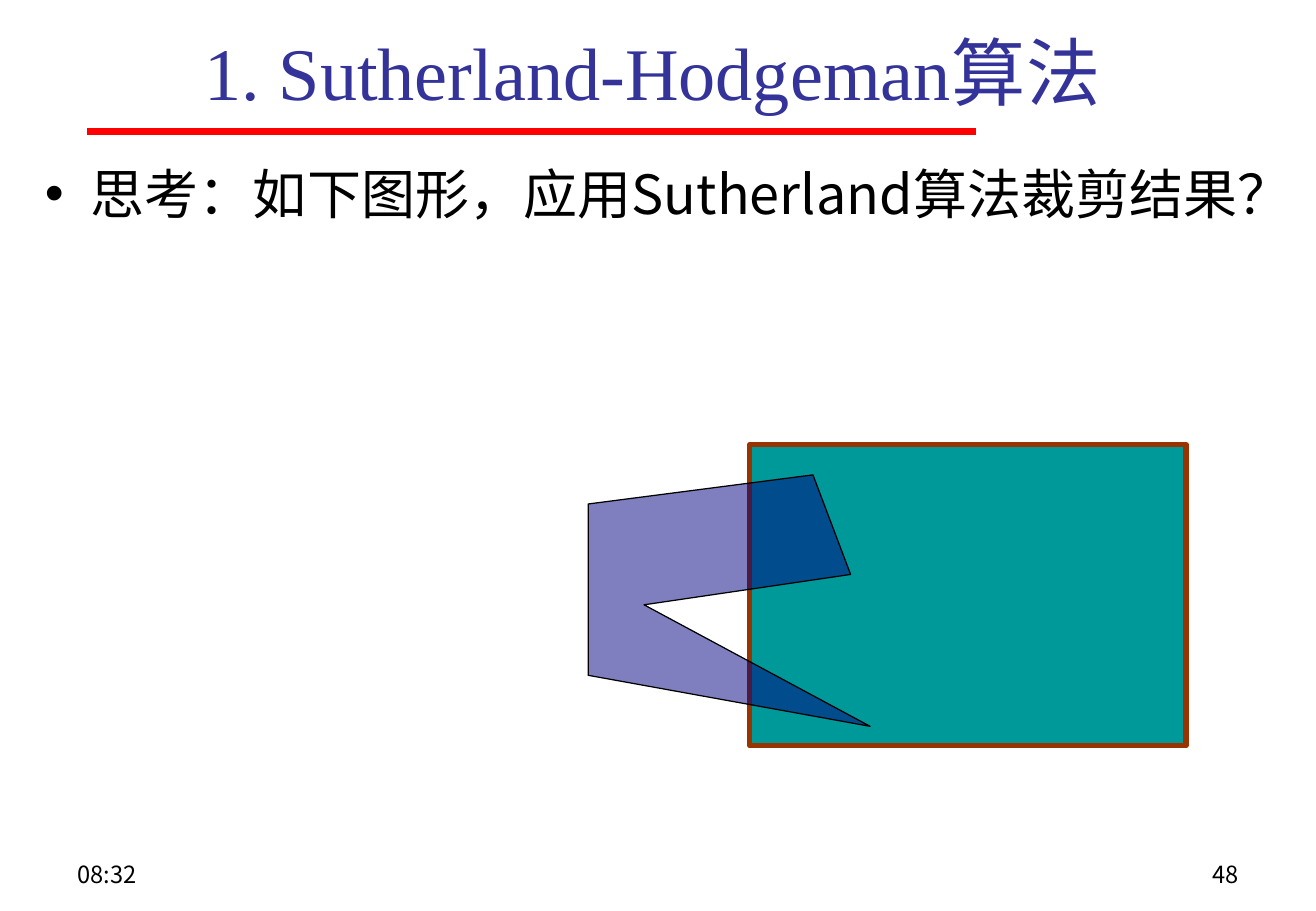
from lxml import etree
from pptx import Presentation
from pptx import util as u
from pptx.dml.color import RGBColor
from pptx.enum import shapes, text
from pptx.oxml.ns import qn

PX = 9144  # 100 px to the inch
SANS, SERIF = "Noto Sans CJK SC", "Times New Roman"
INK = {"title": "333399", "text": "000000", "rule": "FF0000",
       "window": "009999", "frame": "993300", "poly": "000080"}


def rgb(name):
    return RGBColor.from_string(INK[name])


class Deck:
    def __init__(self, wide, high):
        self.prs = Presentation()
        self.prs.slide_width, self.prs.slide_height = wide * PX, high * PX
        self.slide = self.prs.slides.add_slide(self.prs.slide_layouts[5])
        self.shapes = self.slide.shapes

    def style(self, para, size, ink, face):
        font = para.font
        font.size, font.name = u.Pt(size), face
        font.color.rgb = rgb(ink)
        latin = para._p.pPr.find(qn("a:defRPr")).find(qn("a:latin"))
        east = etree.Element(qn("a:ea"), typeface=SANS)
        latin.addnext(east)

    def title(self, words, box):
        head = self.shapes.title
        head.left, head.top, head.width, head.height = [v * PX for v in box]
        frame = head.text_frame
        frame.text = words
        frame.vertical_anchor = text.MSO_ANCHOR.MIDDLE
        para = frame.paragraphs[0]
        para.alignment = text.PP_ALIGN.CENTER
        self.style(para, 44, "title", SERIF)

    def label(self, words, box, size, align=text.PP_ALIGN.LEFT, indent=0):
        frame = self.shapes.add_textbox(*[v * PX for v in box]).text_frame
        frame.word_wrap = True
        frame.text = words
        para = frame.paragraphs[0]
        para.alignment, para.line_spacing = align, 0.82
        if indent:
            props = para._p.get_or_add_pPr()
            props.set("marL", str(indent * PX))
            props.set("indent", str(-indent * PX))
            etree.SubElement(props, qn("a:buFont"), typeface="Arial")
            etree.SubElement(props, qn("a:buChar"), char="•")
        self.style(para, size, "text", SANS)

    def rule(self, x1, y1, x2, y2, ink, width):
        line = self.shapes.add_connector(
            shapes.MSO_CONNECTOR.STRAIGHT, *[v * PX for v in (x1, y1, x2, y2)])
        line.line.color.rgb, line.line.width = rgb(ink), u.Pt(width)
        etree.SubElement(line._element.spPr, qn("a:effectLst"))

    def paint(self, shape, fill, ink, width):
        shape.shadow.inherit = False
        shape.fill.solid()
        shape.fill.fore_color.rgb = rgb(fill)
        shape.line.color.rgb, shape.line.width = rgb(ink), u.Pt(width)

    def rect(self, box, fill, ink, width):
        shape = self.shapes.add_shape(
            shapes.MSO_SHAPE.RECTANGLE, *[v * PX for v in box])
        self.paint(shape, fill, ink, width)

    def poly(self, points, fill, ink, width, alpha):
        path = self.shapes.build_freeform(*points[0], scale=PX)
        path.add_line_segments(points[1:], close=True)
        shape = path.convert_to_shape()
        self.paint(shape, fill, ink, width)
        tint = shape._element.spPr.find(qn("a:solidFill"))[0]
        etree.SubElement(tint, qn("a:alpha"), val=str(alpha * 1000))


def main():
    deck = Deck(1083, 750)

    # Heading and question
    deck.rule(72, 108, 803, 108, "rule", 4)
    deck.title("1. Sutherland-Hodgeman算法", (18, 8, 1038, 100))
    deck.label("思考：如下图形，应用Sutherland算法裁剪结果？",
               (27, 137, 1038, 220), 32, indent=38)

    # Clip window and the polygon to clip
    deck.rect((617, 366, 359, 248), "window", "frame", 3)
    deck.poly([(484, 415), (669, 391), (700, 473), (530, 498),
               (716, 598), (484, 556)], "poly", "text", 0.75, alpha=50)

    # Footer
    deck.label("08:32", (54, 707, 253, 35), 14)
    deck.label("48", (776, 707, 253, 35), 14, align=text.PP_ALIGN.RIGHT)

    deck.prs.save("out.pptx")


if __name__ == "__main__":
    main()
